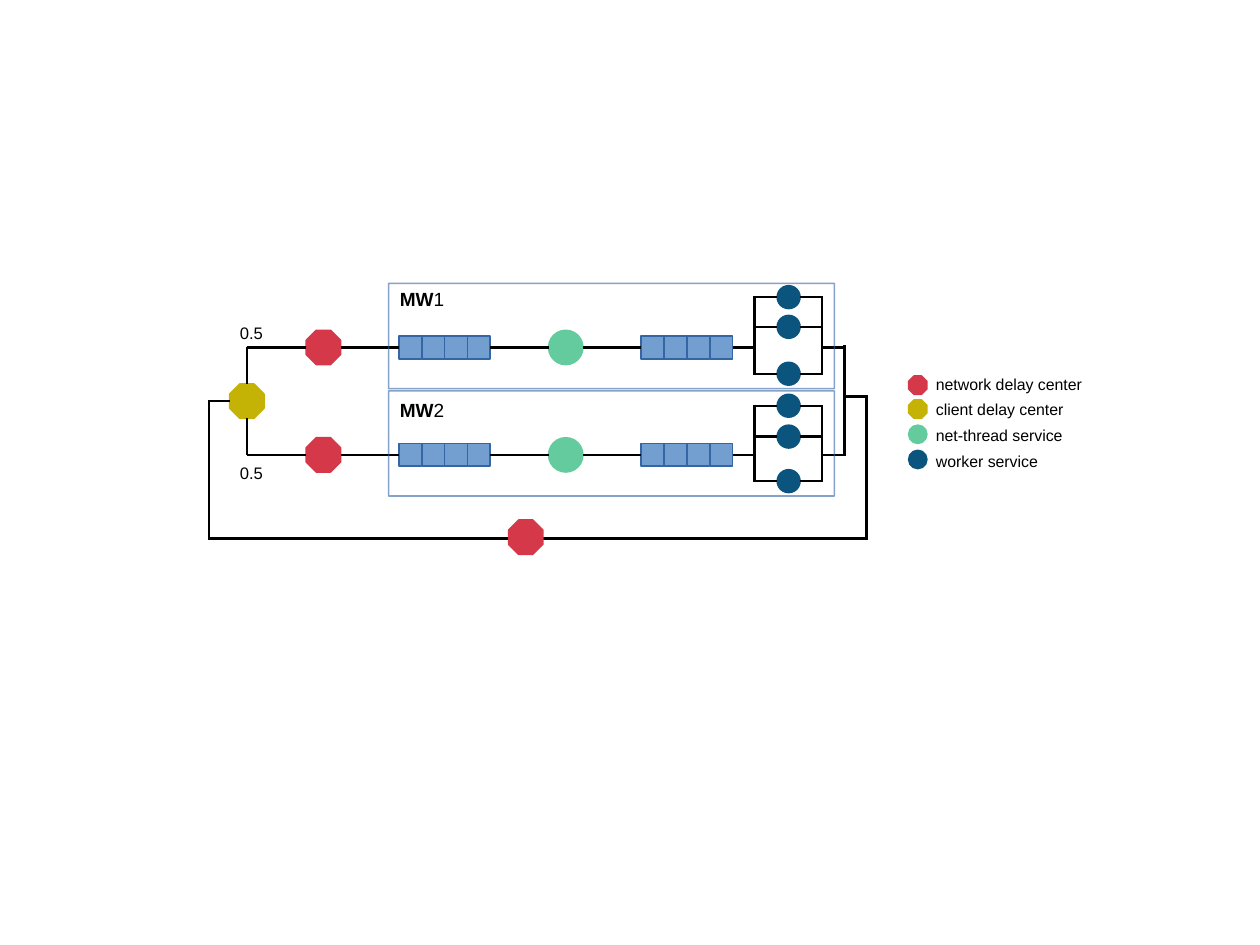
import lxml.etree
import pptx
import pptx.dml.color
import pptx.enum.shapes
import pptx.enum.text
import pptx.oxml.ns
import pptx.util

Inches = pptx.util.Inches
Pt = pptx.util.Pt
SHAPES = pptx.enum.shapes.MSO_SHAPE
ALIGN = pptx.enum.text.PP_ALIGN
qn = pptx.oxml.ns.qn

BLACK, RED, GOLD = "000000", "D43849", "C4B205"
GREEN, NAVY, QUEUE, EDGE = "63CB9D", "0B547E", "729FCF", "3465A4"

LANES = [
    {"y": 3.04, "workers": [2.6, 2.86, 3.27], "frame": 2.48,
     "name": "1", "name_top": 2.47, "share_top": 2.78},
    {"y": 3.98, "workers": [3.55, 3.82, 4.21], "frame": 3.42,
     "name": "2", "name_top": 3.44, "share_top": 4.0},
]
LEGEND = [
    ("network delay center", SHAPES.OCTAGON, RED, 3.29, 3.23, ALIGN.LEFT),
    ("client delay center", SHAPES.OCTAGON, GOLD, 3.5, 3.45, ALIGN.LEFT),
    ("net-thread service", SHAPES.OVAL, GREEN, 3.72, 3.67, ALIGN.LEFT),
    ("worker service", SHAPES.OVAL, NAVY, 3.94, 3.9, ALIGN.JUSTIFY),
]
QUEUE_LEFTS = [3.49, 5.61]
CELL, CELLS, CENTER, WORKER = 0.2, 4, 0.3, 0.2
CLIENT_X, CLIENT_Y = 2.16, 3.51
NETWORK_X, THREAD_X, WORKER_X = 2.83, 4.95, 6.9
FORK_X, JOIN_X, MERGE_X, MERGE_Y = 6.6, 7.19, 7.39, 3.47
RETURN_X, RETURN_Y, RETURN_END, RETURN_DELAY_X = 7.58, 4.71, 1.83, 4.6
FRAME = (3.4, 3.9, 0.92)


def color(value):
    return pptx.dml.color.RGBColor.from_string(value)


def set_format(target, values):
    for name, value in values.items():
        setattr(target, name, value)


def add_block(page, kind, left, top, width, height, fill, edge):
    block = page.shapes.add_shape(
        kind, Inches(left), Inches(top), Inches(width), Inches(height))
    block.shadow.inherit = False
    if fill:
        block.fill.solid()
        block.fill.fore_color.rgb = color(fill)
    else:
        block.fill.background()
    block.line.color.rgb = color(edge)
    block.line.width = Pt(1)
    return block


def add_node(page, kind, x, y, size, fill):
    return add_block(page, kind, x - size / 2, y - size / 2, size, size, fill, fill)


def add_wire(page, x1, y1, x2, y2, source=None, target=None):
    wire = page.shapes.add_connector(
        pptx.enum.shapes.MSO_CONNECTOR.STRAIGHT,
        Inches(x1), Inches(y1), Inches(x2), Inches(y2))
    wire.line.color.rgb = color(BLACK)
    wire.line.width = Pt(1.5)
    lxml.etree.SubElement(wire.element.spPr, qn("a:effectLst"))
    if source:
        wire.begin_connect(source, 3)
    if target:
        wire.end_connect(target, 1)


def add_label(page, left, top, width, height, spans, size, align=ALIGN.LEFT):
    box = page.shapes.add_textbox(
        Inches(left), Inches(top), Inches(width), Inches(height))
    set_format(box.text_frame, {
        "word_wrap": True,
        "auto_size": pptx.enum.text.MSO_AUTO_SIZE.SHAPE_TO_FIT_TEXT})
    para = box.text_frame.paragraphs[0]
    para.alignment = align
    for text, bold in spans:
        span = para.add_run()
        span.text = text
        set_format(span.font, {"name": "Arial", "size": Pt(size), "bold": bold})
        span.font.color.rgb = color(BLACK)


def add_queue(page, left, y):
    cells = [add_block(page, SHAPES.RECTANGLE, left + i * CELL, y - CELL / 2,
                       CELL, CELL, QUEUE, EDGE) for i in range(CELLS)]
    return cells[0], cells[-1]


def add_workers(page, heights):
    half = WORKER / 2
    for y in heights:
        add_node(page, SHAPES.OVAL, WORKER_X, y, WORKER, NAVY)
        add_wire(page, FORK_X, y, WORKER_X - half, y)
        add_wire(page, WORKER_X + half, y, JOIN_X, y)
    for x in (FORK_X, JOIN_X):
        add_wire(page, x, heights[0] - 0.01, x, heights[-1] + 0.01)


def add_lane(page, lane):
    y, half = lane["y"], CENTER / 2
    add_node(page, SHAPES.OCTAGON, NETWORK_X, y, CENTER, RED)
    add_node(page, SHAPES.OVAL, THREAD_X, y, CENTER, GREEN)
    (first_in, first_out), (second_in, second_out) = [
        add_queue(page, left, y) for left in QUEUE_LEFTS]
    first_left, second_left = QUEUE_LEFTS
    length = CELL * CELLS
    add_wire(page, CLIENT_X, y, NETWORK_X - half, y)
    add_wire(page, NETWORK_X + half, y, first_left, y, target=first_in)
    add_wire(page, first_left + length, y, THREAD_X - half, y, source=first_out)
    add_wire(page, THREAD_X + half, y, second_left, y, target=second_in)
    add_wire(page, second_left + length, y, FORK_X, y, source=second_out)
    add_workers(page, lane["workers"])
    add_wire(page, JOIN_X, y, MERGE_X, y)
    edge_y = CLIENT_Y + half if y > CLIENT_Y else CLIENT_Y - half
    add_wire(page, CLIENT_X, y, CLIENT_X, edge_y)


def add_return(page):
    top, bottom = [lane["y"] for lane in LANES]
    add_wire(page, MERGE_X, top - 0.02, MERGE_X, bottom + 0.01)
    add_wire(page, MERGE_X, MERGE_Y, RETURN_X, MERGE_Y)
    add_wire(page, RETURN_X, MERGE_Y - 0.01, RETURN_X, RETURN_Y)
    add_wire(page, RETURN_X + 0.01, RETURN_Y, RETURN_END - 0.01, RETURN_Y)
    add_wire(page, RETURN_END, CLIENT_Y - 0.01, RETURN_END, RETURN_Y)
    add_wire(page, RETURN_END, CLIENT_Y, CLIENT_X - CENTER / 2, CLIENT_Y)
    add_node(page, SHAPES.OCTAGON, RETURN_DELAY_X, RETURN_Y - 0.01, CENTER, RED)


def add_frame(page, lane):
    left, width, height = FRAME
    frame = add_block(page, SHAPES.RECTANGLE, left, lane["frame"],
                      width, height, None, EDGE)
    tint = frame.element.spPr.find(qn("a:ln")).find(".//" + qn("a:srgbClr"))
    lxml.etree.SubElement(tint, qn("a:alpha")).set("val", "60000")
    add_label(page, left, lane["name_top"], 0.62, 0.29,
              [("MW", True), (lane["name"], False)], 12)
    add_label(page, 2, lane["share_top"], 0.45, 0.26, [("0.5", False)], 10.5)


def main():
    deck = pptx.Presentation()
    deck.slide_width = Inches(28 / 2.54)
    deck.slide_height = Inches(21 / 2.54)
    page = deck.slides.add_slide(deck.slide_layouts[6])
    add_node(page, SHAPES.OCTAGON, CLIENT_X, CLIENT_Y, CENTER, GOLD)
    for lane in LANES:
        add_lane(page, lane)
    add_return(page)
    for text, kind, fill, icon_top, text_top, align in LEGEND:
        add_block(page, kind, 7.95, icon_top, 0.16, 0.16, fill, fill)
        add_label(page, 8.09, text_top, 1.6, 0.25, [(text, False)], 10, align)
    for lane in LANES:
        add_frame(page, lane)
    deck.save("out.pptx")


if __name__ == "__main__":
    main()
